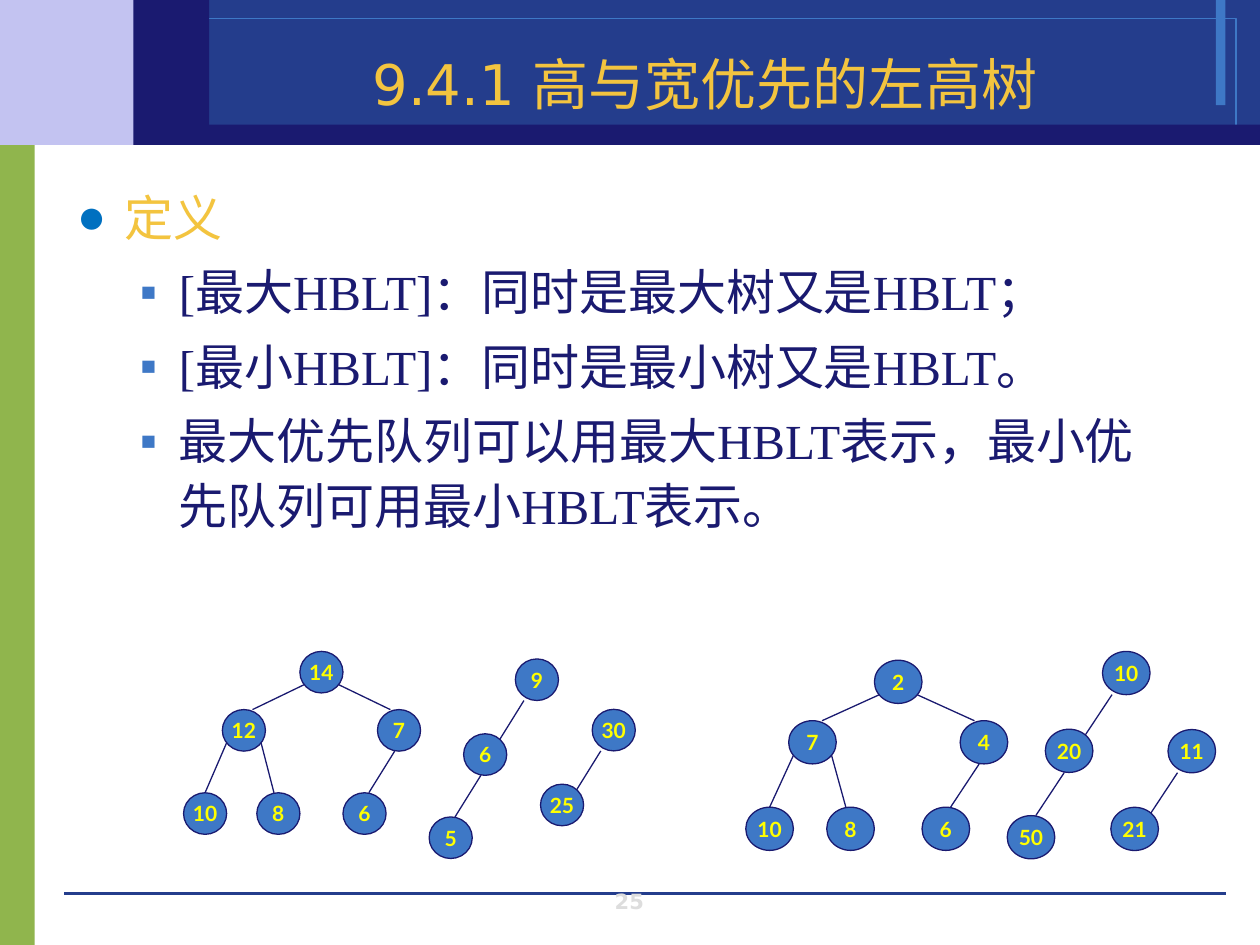
import lxml.etree
import pptx
import pptx.dml.color
import pptx.enum.shapes
import pptx.enum.text
import pptx.oxml.ns
import pptx.util

COLUMNS, ROWS = 100, 75
NAVY, ROYAL, BLUE = "1A1A70", "243D8C", "3E78C6"
GOLD, YELLOW, GREEN, LILAC = "F3C43F", "FFFF00", "90B54D", "C3C3F1"
SKY, SILVER = "0070C0", "DDDDDD"

# branch: child offset, start on parent, end on child, all in node sizes
BRANCHES = {
    "wide left": ((-1.8, 1.4), (0.1, 0.8), (0.7, 0)),
    "wide right": ((1.8, 1.4), (0.9, 0.8), (0.3, 0)),
    "steep left": ((-0.9, 2), (0.1, 0.8), (0.5, 0)),
    "steep right": ((0.8, 2), (0.9, 0.8), (0.4, 0)),
    "hang": ((-0.8, 2), (0.4, 1), (0.6, 0)),
    "lean": ((-1.2, 1.8), (0.2, 1), (0.8, 0.2)),
}


def color(value):
    return pptx.dml.color.RGBColor.from_string(value)


def write(para, text, size=12, font="Lato", ink=YELLOW, bold=False, align=None):
    span = para.add_run()
    span.text = text
    span.font.size = pptx.util.Pt(size)
    span.font.name = font
    span.font.bold = bold
    span.font.color.rgb = color(ink)
    if align:
        para.alignment = align


def full_tree(root, left, right, outer, inner, last):
    return (root, {
        "wide left": (left, {"steep left": (outer, {}), "steep right": (inner, {})}),
        "wide right": (right, {"hang": (last, {})}),
    })


class Slide:
    center = pptx.enum.text.PP_ALIGN.CENTER
    shape_kind = pptx.enum.shapes.MSO_SHAPE
    anchor = pptx.enum.text.MSO_ANCHOR

    def __init__(self, deck):
        self.page = deck.slides.add_slide(deck.slide_layouts[1])
        self.column = deck.slide_width / COLUMNS
        self.row = deck.slide_height / ROWS

    def place(self, left, top, width, height):
        return [round(value * unit) for value, unit in zip(
            (left, top, width, height), (self.column, self.row) * 2)]

    def shape(self, kind, area, fill=None, line=None, weight=0, parent=None):
        shape = (parent or self.page).shapes.add_shape(kind, *self.place(*area))
        shape.shadow.inherit = False
        if fill:
            shape.fill.solid()
            shape.fill.fore_color.rgb = color(fill)
        else:
            shape.fill.background()
        if line:
            shape.line.color.rgb = color(line)
            shape.line.width = pptx.util.Pt(weight)
        else:
            shape.line.fill.background()
        return shape

    def line(self, start, end, ink, weight=0, parent=None):
        line = (parent or self.page).shapes.add_connector(
            pptx.enum.shapes.MSO_CONNECTOR.STRAIGHT, *self.place(*start, *end))
        line.line.color.rgb = color(ink)
        line.line.width = pptx.util.Pt(weight)
        lxml.etree.SubElement(line.element.spPr, pptx.oxml.ns.qn("a:effectLst"))

    def placeholder(self, index, area, anchor):
        box = self.page.placeholders[index]
        box.left, box.top, box.width, box.height = self.place(*area)
        box.element.getparent().append(box.element)
        frame = box.text_frame
        frame.auto_size = pptx.enum.text.MSO_AUTO_SIZE.NONE
        frame.vertical_anchor = anchor
        return frame

    def title(self, text, area):
        frame = self.placeholder(0, area, self.anchor.BOTTOM)
        write(frame.paragraphs[0], text, size=32, font="DejaVu Sans", ink=GOLD, align=self.center)

    def bullets(self, items, area):
        frame = self.placeholder(1, area, self.anchor.TOP)
        styles = [("●", SKY, GOLD, 3.8, -3.8), ("▪", BLUE, NAVY, 8.1, -3.1)]
        for number, (level, text) in enumerate(items):
            para = frame.add_paragraph() if number else frame.paragraphs[0]
            mark, mark_ink, ink, margin, indent = styles[level]
            para.level = level
            para.line_spacing = 1.1
            write(para, text, size=28, font="Times New Roman", ink=ink)
            settings = para._p.get_or_add_pPr()
            settings.set("marL", str(round(margin * self.column)))
            settings.set("indent", str(round(indent * self.column)))
            tint = lxml.etree.SubElement(settings, pptx.oxml.ns.qn("a:buClr"))
            lxml.etree.SubElement(tint, pptx.oxml.ns.qn("a:srgbClr"), val=mark_ink)
            lxml.etree.SubElement(settings, pptx.oxml.ns.qn("a:buChar"), char=mark)

    def label(self, text, area, **style):
        frame = self.page.shapes.add_textbox(*self.place(*area)).text_frame
        frame.word_wrap = True
        frame.vertical_anchor = self.anchor.BOTTOM
        write(frame.paragraphs[0], text, align=self.center, **style)

    def tree(self, node, corner, size, group):
        text, children = node

        def offset(origin, shares):
            return tuple(o + s * unit for o, s, unit in zip(origin, shares, size))

        shape = self.shape(self.shape_kind.OVAL, (*corner, *size), BLUE, NAVY, 0.75, group)
        frame = shape.text_frame
        frame.word_wrap = False
        frame.vertical_anchor = self.anchor.MIDDLE
        write(frame.paragraphs[0], text, bold=True, align=self.center)
        for branch, child in children.items():
            step, start, end = BRANCHES[branch]
            child_corner = offset(corner, step)
            self.line(offset(corner, start), offset(child_corner, end), NAVY, 0.75, group)
            self.tree(child, child_corner, size, group)

    def forest(self, size, trees):
        group = self.page.shapes.add_group_shape()
        for corner, node in trees:
            self.tree(node, corner, size, group)


def main():
    deck = pptx.Presentation()
    deck.slide_width = pptx.util.Inches(10)
    deck.slide_height = pptx.util.Inches(7.5)
    slide = Slide(deck)

    rectangle = slide.shape_kind.RECTANGLE
    slide.shape(rectangle, (0, 10.7, 2.75, 64.3), GREEN)
    slide.shape(rectangle, (0, 0, 15.3, 11.5), LILAC)
    slide.shape(rectangle, (15.3, 0, 84.7, 11.5), ROYAL)
    slide.shape(rectangle, (96.5, 0, 0.75, 8.35), BLUE)
    slide.shape(rectangle, (11.9, 1.45, 86.2, 8.5), line=BLUE)
    slide.line((5.1, 70.9), (97.3, 70.9), ROYAL)
    slide.shape(rectangle, (13, 9.9, 87, 1.6), NAVY)
    slide.shape(rectangle, (10.6, 0, 6, 11.5), NAVY)
    slide.label("25", (38.3, 70.5, 23.3, 2.5), font="DejaVu Sans", ink=SILVER, bold=True)

    slide.title("9.4.1 高与宽优先的左高树", (13, 0.5, 85.9, 9.3))
    slide.bullets([
        (0, "定义"),
        (1, "[最大HBLT]：同时是最大树又是HBLT；"),
        (1, "[最小HBLT]：同时是最小树又是HBLT。"),
        (1, "最大优先队列可以用最大HBLT表示，最小优先队列可用最小HBLT表示。"),
    ], (5.1, 13.9, 89.2, 43))

    slide.forest((3.78, 3.43), [
        ((69.4, 52.4), full_tree("2", "7", "4", "10", "8", "6")),
        ((87.5, 51.7), ("10", {"lean": ("20", {"hang": ("50", {})})})),
        ((92.7, 57.9), ("11", {"lean": ("21", {})})),
    ])
    slide.forest((3.42, 3.3), [
        ((23.8, 51.7), full_tree("14", "12", "7", "10", "8", "6")),
        ((40.9, 52.3), ("9", {"lean": ("6", {"hang": ("5", {})})})),
        ((47, 56.3), ("30", {"lean": ("25", {})})),
    ])
    deck.save("out.pptx")


if __name__ == "__main__":
    main()
